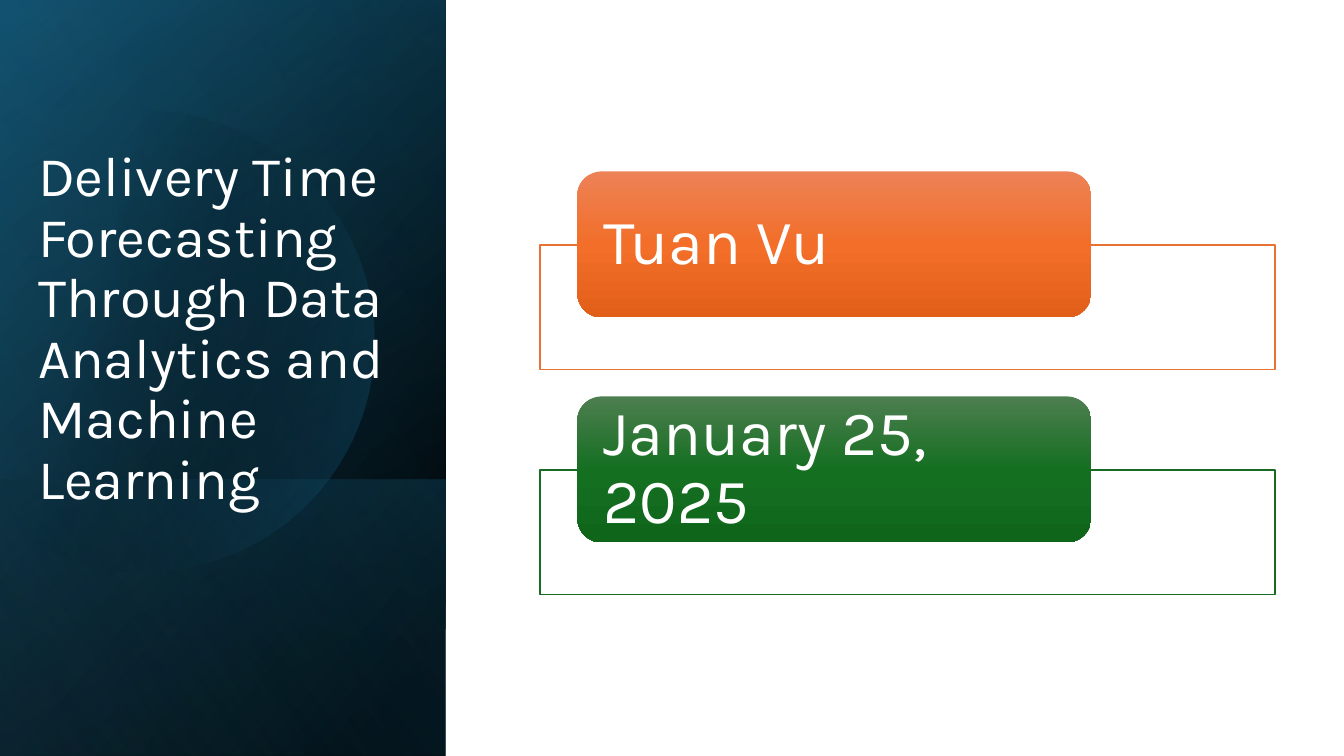
import math
from dataclasses import dataclass
from typing import Optional

import lxml.etree
import pptx
import pptx.dml.color
import pptx.enum.shapes
import pptx.enum.text
import pptx.oxml.ns
import pptx.util

Cm = pptx.util.Cm
qn = pptx.oxml.ns.qn
KINDS = pptx.enum.shapes.MSO_SHAPE
ANCHOR = pptx.enum.text.MSO_ANCHOR


@dataclass(frozen=True)
class Theme:
    font: str = "Karla"
    title: int = 40
    label: int = 45
    white: str = "FFFFFF"
    black: str = "000000"
    deep: str = "104862"
    blue: str = "156082"
    sky: str = "46B1E1"
    orange: str = "E97132"
    green: str = "196B24"
    warm: tuple = ("ED8257", "F26E29", "E25F1A")
    leaf: tuple = ("4D7E50", "156F21", "0F661B")


@dataclass(frozen=True)
class Stop:
    place: int
    color: str
    alpha: int = 100


@dataclass(frozen=True)
class Panel:
    top: float
    height: float
    angle: int
    stops: tuple


@dataclass(frozen=True)
class Card:
    text: str
    edge: str
    shades: tuple


THEME = Theme()
WIDTH, HEIGHT = 33.87, 19.05
SIDE = 11.23
PITCH = 5.67

BACK = (
    Panel(0, HEIGHT, 50, (Stop(8, THEME.black), Stop(100, THEME.deep))),
    Panel(0, HEIGHT, 30, (Stop(0, THEME.black, 0), Stop(99, THEME.blue, 46))),
    Panel(12.09, 6.96, 130, (Stop(2, THEME.blue, 29), Stop(100, THEME.black, 30))),
)
SHEEN = Panel(0, HEIGHT, 120, (Stop(0, THEME.black, 0), Stop(99, THEME.sky, 11)))
GLOW = (Stop(29, THEME.black, 0), Stop(100, THEME.blue, 43))
CARDS = (
    Card("Tuan Vu", THEME.orange, THEME.warm),
    Card("January 25, 2025", THEME.green, THEME.leaf),
)


def rgb(code: str) -> pptx.dml.color.RGBColor:
    return pptx.dml.color.RGBColor.from_string(code)


def shade(shape, stops: tuple, angle: int) -> None:
    """Give a shape a linear gradient, clockwise angle, and no line or shadow."""
    shape.shadow.inherit = False
    shape.line.fill.background()
    shape.fill.gradient()
    grad = shape.element.spPr.find(qn("a:gradFill"))
    grad.find(qn("a:lin")).set("ang", str(angle * 60000))
    group = grad.find(qn("a:gsLst"))
    for old in list(group):
        group.remove(old)
    for stop in stops:
        mark = lxml.etree.SubElement(group, qn("a:gs"), pos=str(stop.place * 1000))
        color = lxml.etree.SubElement(mark, qn("a:srgbClr"), val=stop.color)
        if stop.alpha < 100:
            lxml.etree.SubElement(color, qn("a:alpha"), val=str(stop.alpha * 1000))


def draw_panel(shapes, panel: Panel) -> None:
    """Draw a side panel as a flipped rectangle on a quarter turn."""
    shift = (SIDE - panel.height) / 2
    shape = shapes.add_shape(KINDS.RECTANGLE, Cm(shift), Cm(panel.top - shift),
                             Cm(panel.height), Cm(SIDE))
    shape.rotation = 90
    shape.element.spPr.find(qn("a:xfrm")).set("flipH", "1")
    shade(shape, panel.stops, panel.angle)


def draw_disc(shapes) -> None:
    """Draw the glowing disc, cut off at the left edge of the slide."""
    mid_x, mid_y, radius, steps = 3.63, 8.59, 5.8, 120
    reach = math.pi - math.acos(mid_x / radius)
    turns = [reach * (2 * i / steps - 1) for i in range(steps + 1)]
    points = [(Cm(mid_x + radius * math.cos(t)), Cm(mid_y + radius * math.sin(t)))
              for t in turns]
    outline = shapes.build_freeform(*points[0])
    outline.add_line_segments(points[1:], close=True)
    shade(outline.convert_to_shape(), GLOW, 14)


def write(shape, text: str, size: int, anchor, inset: Optional[float] = None) -> None:
    frame = shape.text_frame
    frame.word_wrap = True
    frame.vertical_anchor = anchor
    if inset is not None:
        frame.margin_left = frame.margin_right = Cm(inset)
        frame.margin_top = frame.margin_bottom = 0
    line = frame.paragraphs[0]
    line.alignment = pptx.enum.text.PP_ALIGN.LEFT
    line.line_spacing = 0.9
    run = line.add_run()
    run.text = text
    run.font.name = THEME.font
    run.font.size = pptx.util.Pt(size)
    run.font.color.rgb = rgb(THEME.white)


def draw_card(shapes, card: Card, top: float) -> None:
    frame = shapes.add_shape(KINDS.RECTANGLE, Cm(13.61), Cm(top + 1.85),
                             Cm(18.52), Cm(3.15))
    frame.shadow.inherit = False
    frame.fill.solid()
    frame.fill.fore_color.rgb = rgb(THEME.white)
    frame.line.color.rgb = rgb(card.edge)
    frame.line.width = pptx.util.Pt(1)
    label = shapes.add_shape(KINDS.ROUNDED_RECTANGLE, Cm(14.55), Cm(top),
                             Cm(12.95), Cm(3.68))
    stops = tuple(Stop(50 * i, color) for i, color in enumerate(card.shades))
    shade(label, stops, 90)
    write(label, card.text, THEME.label, ANCHOR.MIDDLE, 0.48)


def main() -> None:
    deck = pptx.Presentation()
    deck.slide_width, deck.slide_height = Cm(WIDTH), Cm(HEIGHT)
    shapes = deck.slides.add_slide(deck.slide_layouts[6]).shapes
    for panel in BACK:
        draw_panel(shapes, panel)
    draw_disc(shapes)
    draw_panel(shapes, SHEEN)
    title = shapes.add_textbox(Cm(0.71), Cm(2.46), Cm(10.13), Cm(10.55))
    write(title, "Delivery Time Forecasting Through Data Analytics and Machine Learning",
          THEME.title, ANCHOR.BOTTOM)
    for i, card in enumerate(CARDS):
        draw_card(shapes, card, 4.32 + i * PITCH)
    deck.save("out.pptx")


if __name__ == "__main__":
    main()
